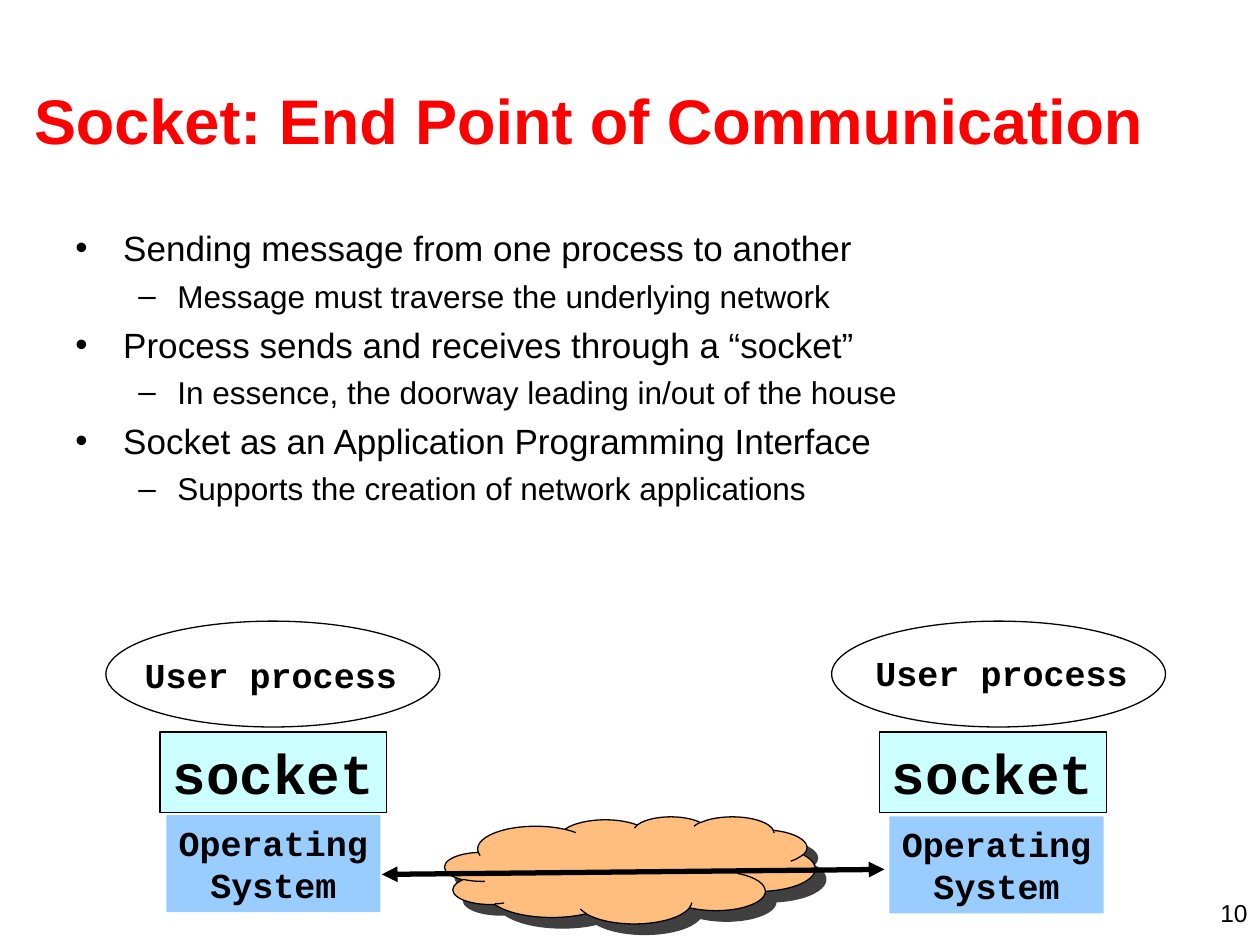
from dataclasses import dataclass

from lxml import etree
from pptx import Presentation
from pptx.dml.color import RGBColor
from pptx.enum.shapes import MSO_CONNECTOR, MSO_SHAPE
from pptx.enum.text import MSO_ANCHOR, PP_ALIGN
from pptx.oxml.ns import qn
from pptx.util import Inches, Pt

LEFT, CENTER, RIGHT = PP_ALIGN.LEFT, PP_ALIGN.CENTER, PP_ALIGN.RIGHT
TOP, MIDDLE = MSO_ANCHOR.TOP, MSO_ANCHOR.MIDDLE
OVAL, RECT, CLOUD = MSO_SHAPE.OVAL, MSO_SHAPE.RECTANGLE, MSO_SHAPE.CLOUD
STRAIGHT = MSO_CONNECTOR.STRAIGHT


@dataclass(frozen=True)
class Theme:
    """Colours, fonts and type sizes of the slide."""
    ink: str = "000000"
    title: str = "FF0000"
    socket: str = "CCFFFF"
    system: str = "99CCFF"
    cloud: str = "FFBE7D"
    sans: str = "Arial"
    mono: str = "Courier New"
    title_size: int = 36
    socket_size: int = 32
    label_size: int = 20
    number_size: int = 14
    outline: float = 0.74
    arrow: float = 3


THEME = Theme()
LEVELS = (
    {"size": 20, "before": 5, "indent": 0.38, "hang": 0.38, "bullet": "•"},
    {"size": 18, "before": 4.5, "indent": 0.81, "hang": 0.31, "bullet": "–"},
)
POINTS = (
    (0, "Sending message from one process to another"),
    (1, "Message must traverse the underlying network"),
    (0, "Process sends and receives through a “socket”"),
    (1, "In essence, the doorway leading in/out of the house"),
    (0, "Socket as an Application Programming Interface"),
    (1, "Supports the creation of network applications"),
)
HOSTS = (
    {"box": (0.84, 4.93), "label": (0.16, 0.21), "socket": (0.43, 0.88), "system": (0.48, 1.54)},
    {"box": (6.6, 4.93), "label": (0.2, 0.19), "socket": (0.38, 0.88), "system": (0.46, 1.55)},
)


def rgb(value):
    """Return a colour object for a hex string."""
    return RGBColor.from_string(value)


def add_xml(parent, tag, **attrs):
    """Append a child element with the given attributes."""
    return etree.SubElement(parent, qn(tag), {k: str(v) for k, v in attrs.items()})


def write(p, text, size, font=THEME.sans, color=THEME.ink, bold=False, align=LEFT):
    """Put one formatted run into a paragraph."""
    p.alignment = align
    r = p.add_run()
    r.text = text
    for name, value in {"size": Pt(size), "name": font, "bold": bold}.items():
        setattr(r.font, name, value)
    r.font.color.rgb = rgb(color)


def set_frame(tf, wrap=True, anchor=TOP):
    """Set wrapping and anchor of a text frame."""
    for name, value in {"word_wrap": wrap, "vertical_anchor": anchor}.items():
        setattr(tf, name, value)


def add_text(slide, box, wrap=True):
    """Add a text box and return its text frame."""
    tf = slide.shapes.add_textbox(*map(Inches, box)).text_frame
    set_frame(tf, wrap)
    return tf


def add_block(slide, kind, box, fill=None, outline=True):
    """Add a flat preset shape."""
    sp = slide.shapes.add_shape(kind, *map(Inches, box))
    sp.shadow.inherit = False
    if fill:
        sp.fill.solid()
        sp.fill.fore_color.rgb = rgb(fill)
    else:
        sp.fill.background()
    if outline:
        sp.line.color.rgb = rgb(THEME.ink)
        sp.line.width = Pt(THEME.outline)
    else:
        sp.line.fill.background()
    return sp


def write_label(tf, lines, size):
    """Write centred bold monospaced lines."""
    set_frame(tf, wrap=False)
    for i, line in enumerate(lines):
        p = tf.add_paragraph() if i else tf.paragraphs[0]
        write(p, line, size, THEME.mono, bold=True, align=CENTER)


def add_title(slide, box, text):
    """Place and format the title placeholder."""
    sp = slide.shapes.title
    for name, value in zip(("left", "top", "width", "height"), box):
        setattr(sp, name, Inches(value))
    set_frame(sp.text_frame, anchor=MIDDLE)
    write(sp.text_frame.paragraphs[0], text, THEME.title_size, color=THEME.title, bold=True)


def add_points(slide, box):
    """Add the two-level bulleted list."""
    tf = add_text(slide, box)
    for i, (level, text) in enumerate(POINTS):
        style = LEVELS[level]
        p = tf.add_paragraph() if i else tf.paragraphs[0]
        p.level = level
        p.space_before = Pt(style["before"])
        write(p, text, style["size"])
        pPr = p._p.get_or_add_pPr()
        pPr.set("marL", str(Inches(style["indent"])))
        pPr.set("indent", str(-Inches(style["hang"])))
        add_xml(pPr, "a:buFont", typeface=THEME.sans)
        add_xml(pPr, "a:buChar", char=style["bullet"])


def add_host(slide, host):
    """Add a process, its socket and its operating system."""
    left, top = host["box"]

    def part(name, width, height):
        """Return the box of a named part of the host."""
        dx, dy = host[name]
        return left + dx, top + dy, width, height

    add_block(slide, OVAL, (left, top, 2.65, 0.84))
    write_label(add_text(slide, part("label", 2.3, 0.44)), ["User process"], THEME.label_size)
    socket = add_block(slide, RECT, part("socket", 1.8, 0.64), THEME.socket)
    write_label(socket.text_frame, ["socket"], THEME.socket_size)
    system = add_block(slide, RECT, part("system", 1.7, 0.77), THEME.system, outline=False)
    write_label(system.text_frame, ["Operating", "System"], THEME.label_size)


def add_network(slide, box):
    """Add the cloud with its shadow and the arrow across it."""
    left, top, width, _ = box
    cloud = add_block(slide, CLOUD, box, THEME.cloud)
    effects = cloud._element.spPr.find(qn("a:effectLst"))
    shadow = add_xml(effects, "a:outerShdw", dist=Pt(8.5), dir=45 * 60000, algn="ctr", rotWithShape=0)
    add_xml(add_xml(shadow, "a:srgbClr", val=THEME.ink), "a:alpha", val=75000)
    ends = (left - 0.5, top + 0.46, left + width + 0.55, top + 0.42)
    arrow = slide.shapes.add_connector(STRAIGHT, *map(Inches, ends))
    arrow.line.color.rgb = rgb(THEME.ink)
    arrow.line.width = Pt(THEME.arrow)
    for tag in ("a:headEnd", "a:tailEnd"):
        add_xml(arrow.line._get_or_add_ln(), tag, type="triangle")
    add_xml(arrow._element.spPr, "a:effectLst")


def add_number(slide, box, text):
    """Add the slide number."""
    write(add_text(slide, box).paragraphs[0], text, THEME.number_size, align=RIGHT)


def main():
    """Build and save the slide."""
    prs = Presentation()
    prs.slide_width, prs.slide_height = Inches(10), Inches(7.5)
    slide = prs.slides.add_slide(prs.slide_layouts[5])
    add_number(slide, (7.67, 7.08, 2.33, 0.25), "10")
    add_title(slide, (0.17, 0.32, 9.58, 1.25), "Socket: End Point of Communication")
    add_points(slide, (0.5, 1.75, 9, 2.79))
    for host in HOSTS:
        add_host(slide, host)
    add_network(slide, (3.53, 6.48, 2.94, 0.85))
    prs.save("out.pptx")


main()
